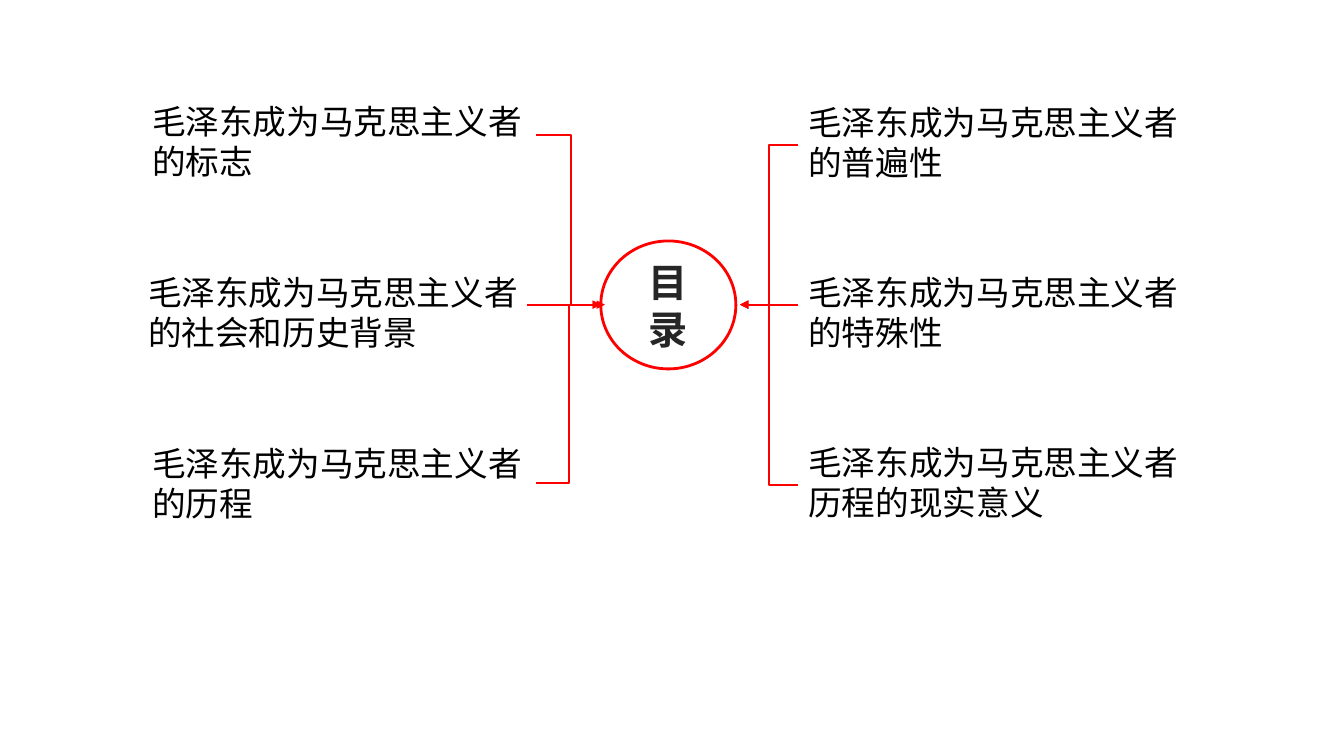
"""Contents slide: six topics pointing at a central circle."""
from lxml.etree import SubElement
from pptx import Presentation
from pptx.dml.color import RGBColor
from pptx.enum.shapes import MSO_CONNECTOR, MSO_SHAPE
from pptx.enum.text import MSO_ANCHOR, MSO_AUTO_SIZE, PP_ALIGN
from pptx.oxml.ns import qn
from pptx.util import Inches, Pt

RED = RGBColor(0xFF, 0x00, 0x00)
BLACK = RGBColor(0x00, 0x00, 0x00)
CHARCOAL = RGBColor(0x26, 0x26, 0x26)
FONT = "Noto Sans CJK SC"
TOPIC_FORMAT = {"name": FONT, "size": Pt(24), "bold": False}
TITLE_FORMAT = {"name": FONT, "size": Pt(28), "bold": True}

deck = Presentation()
deck.slide_width, deck.slide_height = Inches(13.33), Inches(7.5)
page = deck.slides.add_slide(deck.slide_layouts[6])
COLUMN, ROW = deck.slide_width / 100, deck.slide_height / 100
MIDDLE = 40.3
TOPIC_HEIGHT = 12.13


def place(column, row):
    """Turn grid columns and rows into slide lengths."""
    return round(column * COLUMN), round(row * ROW)


def write(box, text, formats, color):
    """Put one formatted run into a box and return its paragraph."""
    box.text_frame.word_wrap = True
    para = box.text_frame.paragraphs[0]
    span = para.add_run()
    span.text = text
    for key, value in formats.items():
        setattr(span.font, key, value)
    span.font.color.rgb = color
    SubElement(span.font._element, qn("a:ea"), typeface=FONT)
    return para


circle = page.shapes.add_shape(MSO_SHAPE.OVAL, *place(44.7, 31.87), *place(10.05, 16.93))
circle.shadow.inherit = False
circle.fill.background()
circle.line.color.rgb = RED
circle.line.width = Pt(2)
circle.text_frame.vertical_anchor = MSO_ANCHOR.MIDDLE
write(circle, "目录", TITLE_FORMAT, CHARCOAL).alignment = PP_ALIGN.CENTER

topics = [
    ("毛泽东成为马克思主义者的标志", (10.58, 12.67), 29.33, (39.91, 17.87), 45.01),
    ("毛泽东成为马克思主义者的社会和历史背景", (10.28, 35.33), 29.33, (39.23, MIDDLE), 44.71),
    ("毛泽东成为马克思主义者的历程", (10.58, 57.87), 29.33, (39.91, 63.87), 44.71),
    ("毛泽东成为马克思主义者的普遍性", (59.41, 12.8), 29.33, (59.41, 19.2), 55.06),
    ("毛泽东成为马克思主义者的特殊性", (59.41, 35.33), 30.38, (59.41, MIDDLE), 55.06),
    ("毛泽东成为马克思主义者历程的现实意义", (59.41, 57.73), 30.38, (59.41, 64.13), 55.06),
]

for text, corner, width, start, tip in topics:
    box = page.shapes.add_textbox(*place(*corner), *place(width, TOPIC_HEIGHT))
    box.text_frame.auto_size = MSO_AUTO_SIZE.SHAPE_TO_FIT_TEXT
    write(box, text, TOPIC_FORMAT, BLACK)

    kind = MSO_CONNECTOR.STRAIGHT if start[1] == MIDDLE else MSO_CONNECTOR.ELBOW
    arrow = page.shapes.add_connector(kind, *place(*start), *place(tip, MIDDLE))
    arrow.line.color.rgb = RED
    arrow.line.width = Pt(1.5)
    SubElement(arrow.line._get_or_add_ln(), qn("a:tailEnd"), type="triangle")
    SubElement(arrow._element.spPr, qn("a:effectLst"))

deck.save("out.pptx")
